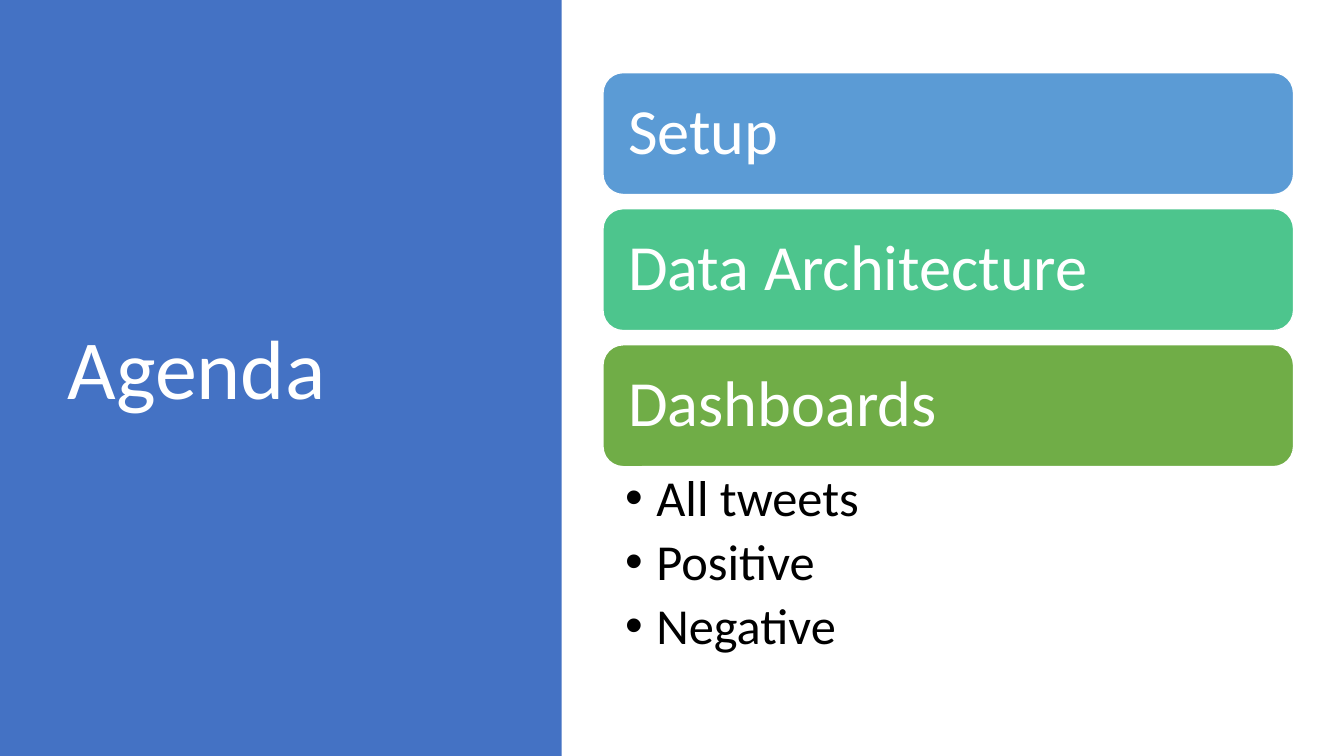
from lxml.etree import SubElement
from pptx import Presentation
from pptx.dml.color import RGBColor
from pptx.enum.shapes import MSO_SHAPE as Shape
from pptx.enum.text import MSO_ANCHOR as Anchor, MSO_AUTO_SIZE as AutoSize, PP_ALIGN as Align
from pptx.oxml.ns import qn
from pptx.util import Inches, Pt

WIDTH, HEIGHT = 13.33, 7.5
FONT = "Calibri"
COLORS = {
    "panel": "4472C4",
    "setup": "5B9BD5",
    "architecture": "4DC58D",
    "dashboards": "70AD47",
    "white": "FFFFFF",
    "black": "000000",
}
TOPICS = [
    ("Setup", "setup"),
    ("Data Architecture", "architecture"),
    ("Dashboards", "dashboards"),
]
DASHBOARDS = ["All tweets", "Positive", "Negative"]


def color(name):
    return RGBColor.from_string(COLORS[name])


def place(shape, box):
    shape.left, shape.top, shape.width, shape.height = map(Inches, box)


def set_frame(frame, anchor, insets):
    frame.word_wrap = True
    frame.auto_size = AutoSize.NONE
    frame.vertical_anchor = anchor
    frame.margin_left, frame.margin_top, frame.margin_right, frame.margin_bottom = map(Inches, insets)


def style_para(para, size, color_name, after=0):
    para.alignment = Align.LEFT
    para.line_spacing = 0.9
    para.space_before = Pt(0)
    para.space_after = Pt(after)
    para.font.name = FONT
    para.font.size = Pt(size)
    para.font.color.rgb = color(color_name)


def add_bullet(para, indent):
    properties = para._p.get_or_add_pPr()
    properties.set("marL", str(Inches(indent)))
    properties.set("indent", str(-Inches(indent)))
    SubElement(properties, qn("a:buFont"), typeface="Arial")
    SubElement(properties, qn("a:buChar"), char="•")


def add_block(slide, kind, box, fill):
    block = slide.shapes.add_shape(kind, *map(Inches, box))
    block.shadow.inherit = False
    block.fill.solid()
    block.fill.fore_color.rgb = color(fill)
    return block


def add_title_panel(slide, box):
    left, top, width, height = box
    panel = add_block(slide, Shape.RECTANGLE, box, "panel")
    panel.line.fill.background()
    title = slide.shapes.title
    title.element.addprevious(panel.element)
    place(title, (left + 0.57, top + 0.68, 4.16, 6.02))
    title.text_frame.text = "Agenda"
    set_frame(title.text_frame, Anchor.MIDDLE, (0.1, 0.05, 0.1, 0.05))
    style_para(title.text_frame.paragraphs[0], 60, "white")


def add_topics(slide, box):
    left, top, width, height = box
    bar_height, pitch = 1.21, 1.35
    for row, (label, fill) in enumerate(TOPICS):
        bar = add_block(slide, Shape.ROUNDED_RECTANGLE, (left, top + row * pitch, width, bar_height), fill)
        bar.line.color.rgb = color("white")
        bar.line.width = Pt(1)
        bar.text_frame.text = label
        set_frame(bar.text_frame, Anchor.MIDDLE, (0.19,) * 4)
        style_para(bar.text_frame.paragraphs[0], 46, "white")

    list_top = (len(TOPICS) - 1) * pitch + bar_height
    body = slide.placeholders[1]
    place(body, (left, top + list_top, width, height - list_top))
    frame = body.text_frame
    frame.text = "\n".join(DASHBOARDS)
    set_frame(frame, Anchor.TOP, (0.22, 0.06, 0.36, 0.06))
    for para in frame.paragraphs:
        para.level = 1
        add_bullet(para, 0.31)
        style_para(para, 36, "black", after=7)


def main():
    deck = Presentation()
    deck.slide_width, deck.slide_height = Inches(WIDTH), Inches(HEIGHT)
    slide = deck.slides.add_slide(deck.slide_layouts[1])
    add_title_panel(slide, (0, 0, 5.57, HEIGHT))
    add_topics(slide, (5.98, 0.72, 6.85, 5.94))
    deck.save("out.pptx")


if __name__ == "__main__":
    main()
